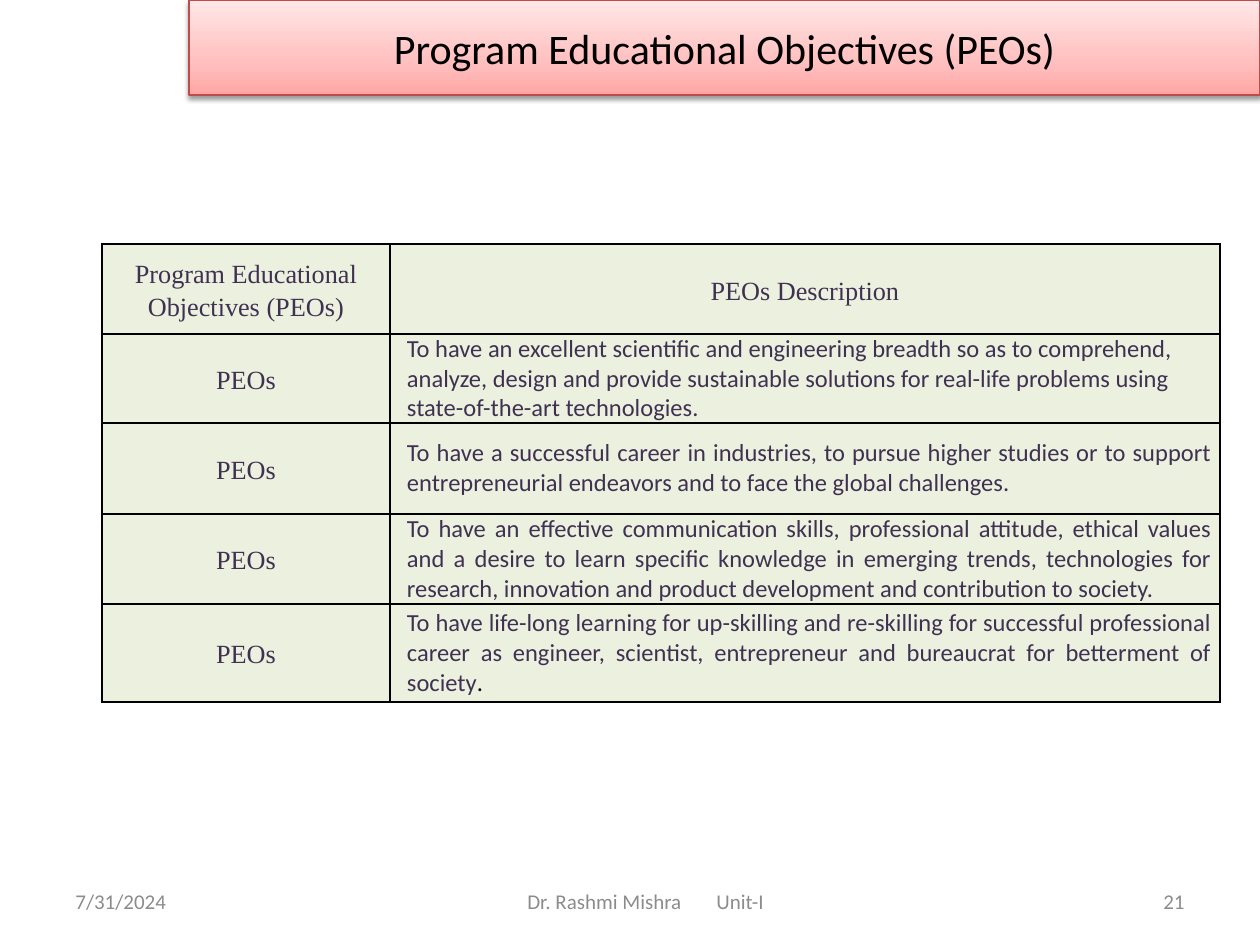
from lxml import etree
from pptx import Presentation
from pptx.dml.color import RGBColor
from pptx.enum.text import MSO_ANCHOR, PP_ALIGN
from pptx.oxml.ns import qn
from pptx.util import Emu, Pt

LEFT, CENTER, RIGHT, JUSTIFY = PP_ALIGN.LEFT, PP_ALIGN.CENTER, PP_ALIGN.RIGHT, PP_ALIGN.JUSTIFY
MIDDLE = MSO_ANCHOR.MIDDLE
EMU_PER_PX = 914400 / 126
TITLE_ONLY = 5

COLORS = {
    "black": "000000",
    "muted": "8C8C8C",
    "table_text": "403152",
    "table_fill": "EBF1DE",
    "banner_line": "BF4C48",
}
BANNER_STOPS = [(0, "FFA6A5"), (35, "FFC0BF"), (100, "FFE7E7")]

HEADING = "Program Educational Objectives (PEOs)"
COLUMN_WIDTHS = [288, 830]
ROW_HEIGHTS = [90, 89, 91, 90, 98]
OBJECTIVES = [
    ("To have an excellent scientific and engineering breadth so as to comprehend, analyze, "
     "design and provide sustainable solutions for real-life problems using "
     "state-of-the-art technologies.", LEFT),
    ("To have a successful career in industries, to pursue higher studies or to support "
     "entrepreneurial endeavors and to face the global challenges.", JUSTIFY),
    ("To have an effective communication skills, professional attitude, ethical values and a "
     "desire to learn specific knowledge in emerging trends, technologies for research, "
     "innovation and product development and contribution to society.", JUSTIFY),
    ("To have life-long learning for up-skilling and re-skilling for successful professional "
     "career as engineer, scientist, entrepreneur and bureaucrat for betterment of society",
     JUSTIFY),
]


def px(length):
    return Emu(round(length * EMU_PER_PX))


def rgb(name):
    return RGBColor.from_string(COLORS[name])


def add_node(parent, tag, **attributes):
    return etree.SubElement(parent, qn(tag), {key: str(value) for key, value in attributes.items()})


def write(paragraph, text, size=12, font="Calibri", color="muted", align=LEFT,
          spacing=None, indent=0, tab=None):
    paragraph.alignment = align
    if spacing:
        paragraph.line_spacing = spacing
    properties = paragraph._p.get_or_add_pPr()
    if indent:
        properties.set("marL", str(px(indent)))
        properties.set("indent", "0")
    if tab:
        add_node(add_node(properties, "a:tabLst"), "a:tab", pos=px(tab), algn="l")
    run = paragraph.add_run()
    run.text = text
    run.font.size = Pt(size)
    run.font.name = font
    run.font.bold = False
    run.font.color.rgb = rgb(color)


def add_banner(slide):
    banner = slide.shapes.title
    banner.left, banner.top, banner.width, banner.height = px(189), px(0), px(1071), px(95)
    banner.fill.gradient()
    banner.fill.gradient_angle = 90
    properties = banner._element.spPr
    stops = properties.find(".//" + qn("a:gsLst"))
    stops.clear()
    for position, color in BANNER_STOPS:
        stop = add_node(stops, "a:gs", pos=position * 1000)
        add_node(stop, "a:srgbClr", val=color)
    banner.line.color.rgb = rgb("banner_line")
    banner.line.width = Pt(0.75)
    effects = add_node(properties, "a:effectLst")
    shadow = add_node(effects, "a:outerShdw", blurRad=Pt(3.1), dist=Pt(1.6),
                      dir=5400000, rotWithShape=0)
    add_node(add_node(shadow, "a:srgbClr", val=COLORS["black"]), "a:alpha", val=38000)
    banner.text_frame.vertical_anchor = MIDDLE
    write(banner.text_frame.paragraphs[0], HEADING, size=24, color="black", align=CENTER)


def add_footer(slide, text, left, width, **text_format):
    box = slide.shapes.add_textbox(px(left), px(876), px(width), px(50))
    box.text_frame.word_wrap = True
    box.text_frame.vertical_anchor = MIDDLE
    write(box.text_frame.paragraphs[0], text, **text_format)


def style_cell(cell):
    cell.vertical_anchor = MIDDLE
    cell.margin_left = cell.margin_right = px(8)
    cell.margin_top = cell.margin_bottom = 0
    properties = cell._tc.get_or_add_tcPr()
    for side in ("a:lnL", "a:lnR", "a:lnT", "a:lnB"):
        border = add_node(properties, side, w=Pt(1))
        add_node(add_node(border, "a:solidFill"), "a:srgbClr", val=COLORS["black"])
    cell.fill.solid()
    cell.fill.fore_color.rgb = rgb("table_fill")


def write_label(cell, text):
    write(cell.text_frame.paragraphs[0], text, size=15, font="Times New Roman",
          color="table_text", align=CENTER, spacing=1.15)


def add_objectives_table(slide):
    table = slide.shapes.add_table(len(ROW_HEIGHTS), len(COLUMN_WIDTHS), px(102), px(244),
                                   px(sum(COLUMN_WIDTHS)), px(sum(ROW_HEIGHTS))).table
    for column, width in zip(table.columns, COLUMN_WIDTHS):
        column.width = px(width)
    for row, height in zip(table.rows, ROW_HEIGHTS):
        row.height = px(height)
    for cell in table.iter_cells():
        style_cell(cell)
    write_label(table.cell(0, 0), HEADING)
    write_label(table.cell(0, 1), "PEOs Description")
    for row, (description, align) in enumerate(OBJECTIVES, start=1):
        write_label(table.cell(row, 0), "PEOs")
        paragraph = table.cell(row, 1).text_frame.paragraphs[0]
        write(paragraph, description, size=14, color="table_text", align=align, indent=9)
    write(paragraph, ".", size=14, color="black", align=JUSTIFY, indent=9)


def main():
    presentation = Presentation()
    presentation.slide_width, presentation.slide_height = px(1260), px(945)
    slide = presentation.slides.add_slide(presentation.slide_layouts[TITLE_ONLY])
    add_footer(slide, "7/31/2024", 63, 294)
    add_footer(slide, "21", 903, 294, align=RIGHT)
    add_objectives_table(slide)
    add_banner(slide)
    add_footer(slide, "Dr. Rashmi Mishra\tUnit-I", 346, 693, indent=169, tab=451)
    presentation.save("out.pptx")


if __name__ == "__main__":
    main()
